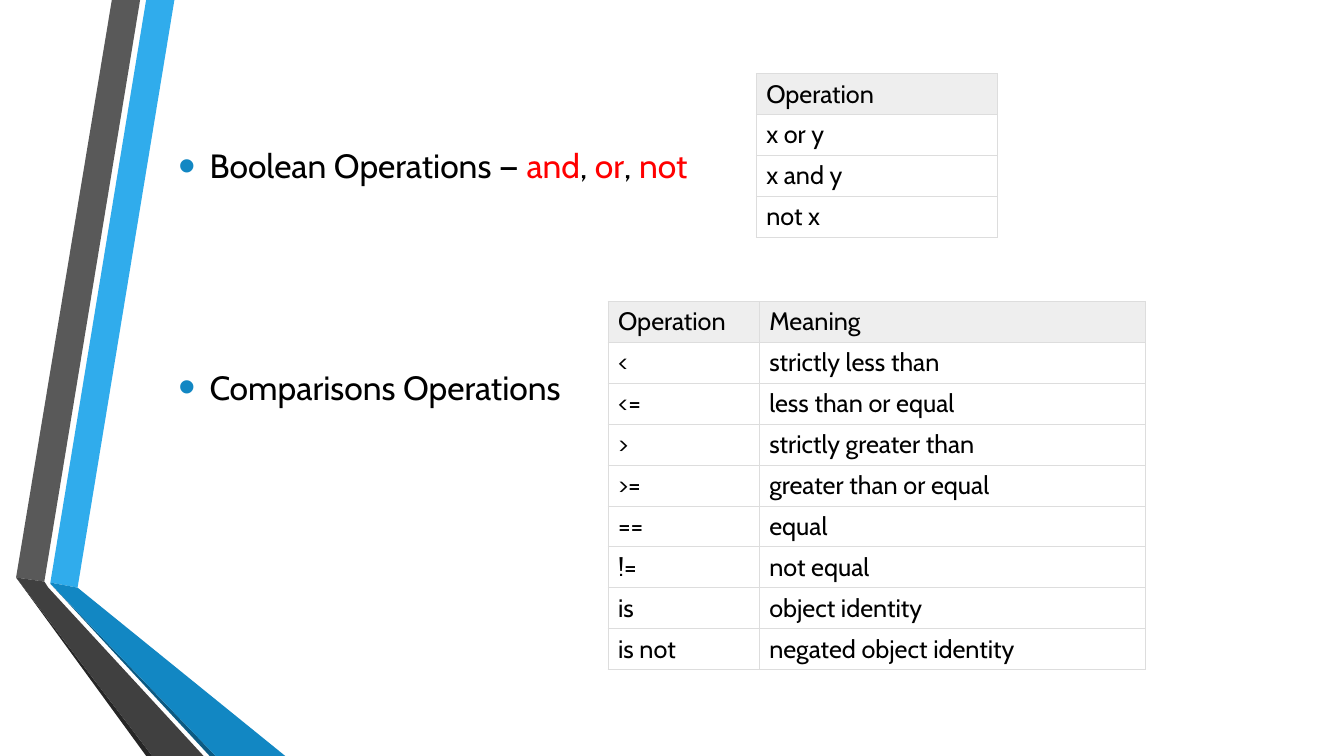
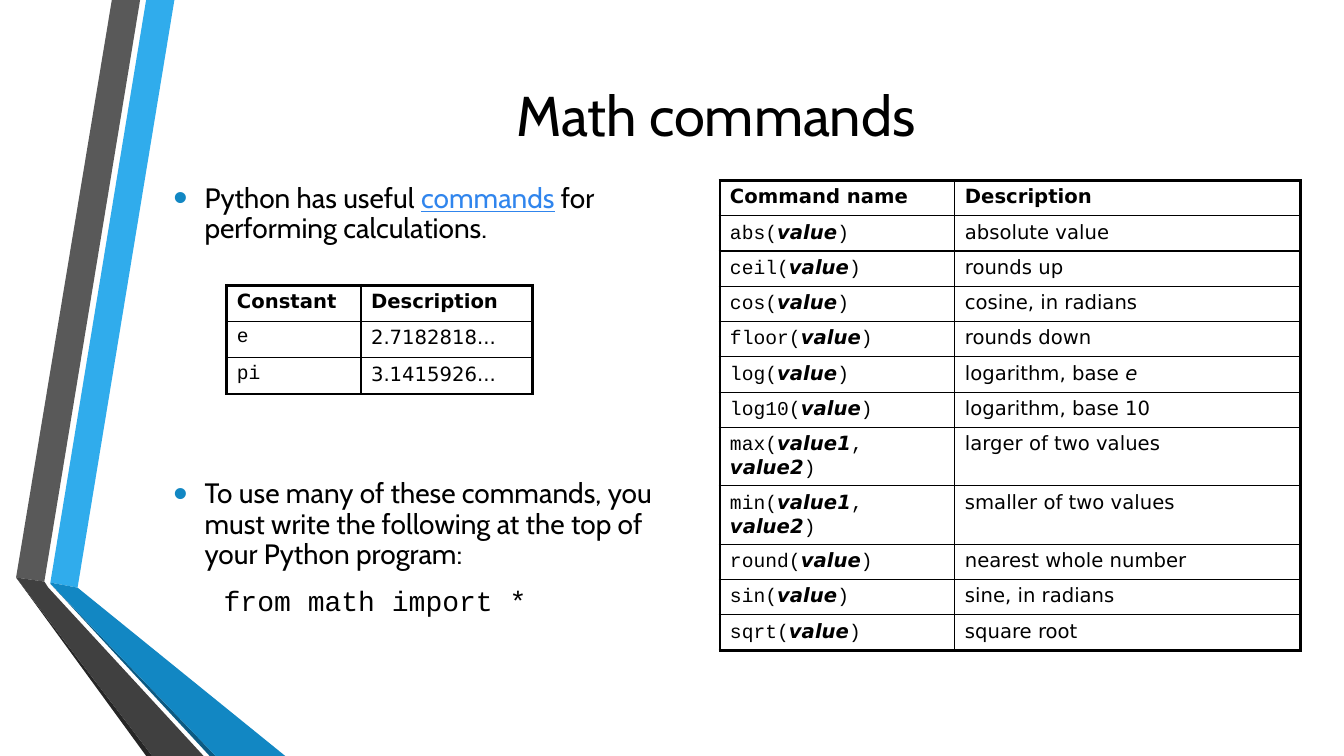
"""Build two slides on Python operations and math commands."""
from dataclasses import dataclass

import pptx
import pptx.dml.color
import pptx.enum.text
import pptx.oxml
import pptx.oxml.ns
import pptx.slide
import pptx.text.text
import pptx.util
from pptx.util import Inches

HEX = {
    "black": "000000", "red": "FF0000", "link": "3085ED", "white": "FFFFFF",
    "head": "EEEEEE", "rule": "DDDDDD", "sky": "30ACEC", "blue": "1287C3",
    "navy": "0C5A82", "gray": "595959", "dark": "404040", "coal": "262626",
}
FONTS = {"main": "Cabin", "code": "Courier New", "cell": "DejaVu Sans"}


@dataclass(frozen=True)
class Run:
    text: str
    font: str = "main"
    color: str = "black"
    bold: bool = False
    italic: bool = False
    line: bool = False


@dataclass(frozen=True)
class Line:
    runs: list[Run]
    size: int
    left: float = 0
    hang: float = 0
    dot: bool = False
    space: float = 1
    before: int = 0
    center: bool = False


@dataclass(frozen=True)
class Band:
    color: str
    points: list[tuple[float, float]]


@dataclass(frozen=True)
class Grid:
    left: float
    top: float
    cols: list[float]
    rows: list[float]
    cells: list[list[list[Run]]]
    size: int
    rule: str
    inner: float
    outer: float
    fills: tuple[str, str] | None = None
    middle: bool = False


BANDS = [
    Band("sky", [(0.5, 5.78), (0.77, 5.83), (1.73, 0), (1.45, 0)]),
    Band("gray", [(1.39, 0), (1.11, 0), (0.16, 5.73), (0.44, 5.77)]),
    Band("coal", [(0.16, 5.73), (1.45, 7.5), (1.51, 7.5)]),
    Band("navy", [(0.5, 5.79), (2.08, 7.5), (2.14, 7.5)]),
    Band("blue", [(0.5, 5.79), (2.14, 7.5), (2.83, 7.5), (0.77, 5.83), (0.5, 5.78)]),
    Band("dark", [(2.02, 7.5), (0.48, 5.83), (0.44, 5.77), (0.16, 5.73), (1.51, 7.5)]),
]
TESTS = [
    ("Operation", "Meaning"),
    ("<", "strictly less than"),
    ("<=", "less than or equal"),
    (">", "strictly greater than"),
    (">=", "greater than or equal"),
    ("==", "equal"),
    ("!=", "not equal"),
    ("is", "object identity"),
    ("is not", "negated object identity"),
]
CALLS = [
    ("abs", "absolute value"),
    ("ceil", "rounds up"),
    ("cos", "cosine, in radians"),
    ("floor", "rounds down"),
    ("log", "logarithm, base "),
    ("log10", "logarithm, base 10"),
    ("max", "larger of two values"),
    ("min", "smaller of two values"),
    ("round", "nearest whole number"),
    ("sin", "sine, in radians"),
    ("sqrt", "square root"),
]
PAIRS = ("max", "min")


def tint(key: str) -> pptx.dml.color.RGBColor:
    return pptx.dml.color.RGBColor.from_string(HEX[key])


def write(para: pptx.text.text._Paragraph, runs: list[Run], size: int) -> None:
    for run in runs:
        part = para.add_run()
        part.text = run.text
        look = {"name": FONTS[run.font], "size": pptx.util.Pt(size), "bold": run.bold,
                "italic": run.italic, "underline": run.line}
        for key, value in look.items():
            setattr(part.font, key, value)
        part.font.color.rgb = tint(run.color)


def add_xml(node, body: str) -> None:
    for child in pptx.oxml.parse_xml(f"<a:x {pptx.oxml.ns.nsdecls('a')}>{body}</a:x>"):
        node.append(child)


def add_text(slide: pptx.slide.Slide, left: float, top: float, width: float,
             height: float, lines: list[Line]) -> None:
    frame = slide.shapes.add_textbox(
        Inches(left), Inches(top), Inches(width), Inches(height)).text_frame
    frame.word_wrap = True
    for spot, line in enumerate(lines):
        para = frame.add_paragraph() if spot else frame.paragraphs[0]
        look = {"line_spacing": line.space, "space_before": pptx.util.Pt(line.before),
                "space_after": pptx.util.Pt(6)}
        if line.center:
            look["alignment"] = pptx.enum.text.PP_ALIGN.CENTER
        for key, value in look.items():
            setattr(para, key, value)
        props = para._p.get_or_add_pPr()
        props.set("marL", str(Inches(line.left)))
        props.set("indent", str(Inches(line.hang)))
        if line.dot:
            add_xml(props, f'<a:buClr><a:srgbClr val="{HEX["blue"]}"/></a:buClr>'
                           '<a:buSzPct val="145000"/><a:buFont typeface="Arial"/>'
                           '<a:buChar char="•"/>')
        write(para, line.runs, line.size)


def point(runs: list[Run], size: int, space: float = 1) -> Line:
    return Line(runs, size, left=0.31, hang=-0.31, dot=True, space=space)


def add_grid(slide: pptx.slide.Slide, grid: Grid) -> None:
    high, wide = len(grid.rows), len(grid.cols)
    table = slide.shapes.add_table(
        high, wide, Inches(grid.left), Inches(grid.top),
        Inches(sum(grid.cols)), Inches(sum(grid.rows))).table
    table.first_row = table.horz_banding = False
    for col, width in zip(table.columns, grid.cols):
        col.width = Inches(width)
    for row, height in zip(table.rows, grid.rows):
        row.height = Inches(height)
    for y, row in enumerate(grid.cells):
        for x, runs in enumerate(row):
            cell = table.cell(y, x)
            edges = {"L": x == 0, "R": x == wide - 1, "T": y == 0, "B": y == high - 1}
            for side, edge in edges.items():
                weight = pptx.util.Pt(grid.outer if edge else grid.inner)
                add_xml(cell._tc.get_or_add_tcPr(),
                        f'<a:ln{side} w="{weight}"><a:solidFill><a:srgbClr '
                        f'val="{HEX[grid.rule]}"/></a:solidFill></a:ln{side}>')
            if grid.fills:
                cell.fill.solid()
                cell.fill.fore_color.rgb = tint(grid.fills[min(y, 1)])
            else:
                cell.fill.background()
            if grid.middle:
                cell.vertical_anchor = pptx.enum.text.MSO_ANCHOR.MIDDLE
            write(cell.text_frame.paragraphs[0], runs, grid.size)


def add_bands(slide: pptx.slide.Slide) -> None:
    for band in BANDS:
        spots = [(Inches(x), Inches(y)) for x, y in band.points]
        pen = slide.shapes.build_freeform(*spots[0])
        pen.add_line_segments(spots[1:], close=True)
        shape = pen.convert_to_shape()
        shape.shadow.inherit = False
        shape.fill.solid()
        shape.fill.fore_color.rgb = tint(band.color)
        shape.line.fill.background()


def soft_grid(left: float, top: float, cols: list[float], rows: list[tuple[str, ...]]) -> Grid:
    cells = [[[Run(text)] for text in row] for row in rows]
    return Grid(left, top, cols, [0.4 + 0.006] * len(rows), cells, 18, "rule", 0.75, 0.75,
                ("head", "white"), True)


def bold_grid(left: float, top: float, cols: list[float], rows: list[float],
              heads: tuple[str, str], cells: list[list[list[Run]]]) -> Grid:
    first = [[Run(text, "cell", bold=True)] for text in heads]
    return Grid(left, top, cols, rows, [first] + cells, 14, "black", 1, 2.25)


def call_runs(name: str) -> list[Run]:
    runs = [Run(name + "(", "code")]
    for spot, arg in enumerate(("value1", "value2") if name in PAIRS else ("value",)):
        if spot:
            runs.append(Run(", ", "code"))
        runs.append(Run(arg, "cell", bold=True, italic=True))
    return runs + [Run(")", "code")]


def note_runs(name: str, note: str) -> list[Run]:
    tail = [Run("e", "cell", italic=True)] if name == "log" else []
    return [Run(note, "cell")] + tail


def draw_tests(slide: pptx.slide.Slide) -> None:
    words = [Run("Boolean Operations — "), Run("and", color="red"), Run(", "),
             Run("or", color="red"), Run(", "), Run("not", color="red")]
    for top, runs in ((1.39, words), (3.59, [Run("Comparisons Operations")])):
        add_text(slide, 1.67, top, 5.7, 0.5, [point(runs, 24)])
    logic = [("Operation",), ("x or y",), ("x and y",), ("not x",)]
    add_grid(slide, soft_grid(7.5, 0.73, [2.39], logic))
    add_grid(slide, soft_grid(6.03, 2.99, [1.5, 3.83], TESTS))


def draw_math(slide: pptx.slide.Slide) -> None:
    add_text(slide, 1.62, 0.75, 10.96, 0.8, [Line([Run("Math commands")], 40, center=True)])
    intro = [Run("Python has useful "), Run("commands", color="link", line=True),
             Run(" for performing calculations.")]
    usage = [Run("To use many of these commands, you must write the following "
                 "at the top of your Python program:")]
    code = Line([Run("from math import *", "code")], 20, 0.81, -0.31, space=0.9, before=6)
    add_text(slide, 1.62, 1.78, 5.19, 0.8, [point(intro, 20, 0.9)])
    add_text(slide, 1.62, 4.71, 5.19, 1.6, [point(usage, 20, 0.9), code])
    rows = [0.35] + [0.58 if name in PAIRS else 0.35 for name, _ in CALLS]
    calls = [[call_runs(name), note_runs(name, note)] for name, note in CALLS]
    add_grid(slide, bold_grid(7.14, 1.79, [2.33, 3.43], rows,
                              ("Command name", "Description"), calls))
    facts = [[[Run(name, "code")], [Run(value, "cell")]]
             for name, value in (("e", "2.7182818..."), ("pi", "3.1415926..."))]
    add_grid(slide, bold_grid(2.25, 2.83, [1.33, 1.7], [0.36] * 3,
                              ("Constant", "Description"), facts))


def main() -> None:
    deck = pptx.Presentation()
    deck.slide_width, deck.slide_height = Inches(13.33), Inches(7.5)
    for draw in (draw_tests, draw_math):
        slide = deck.slides.add_slide(deck.slide_layouts[6])
        add_bands(slide)
        draw(slide)
    deck.save("out.pptx")


if __name__ == "__main__":
    main()
